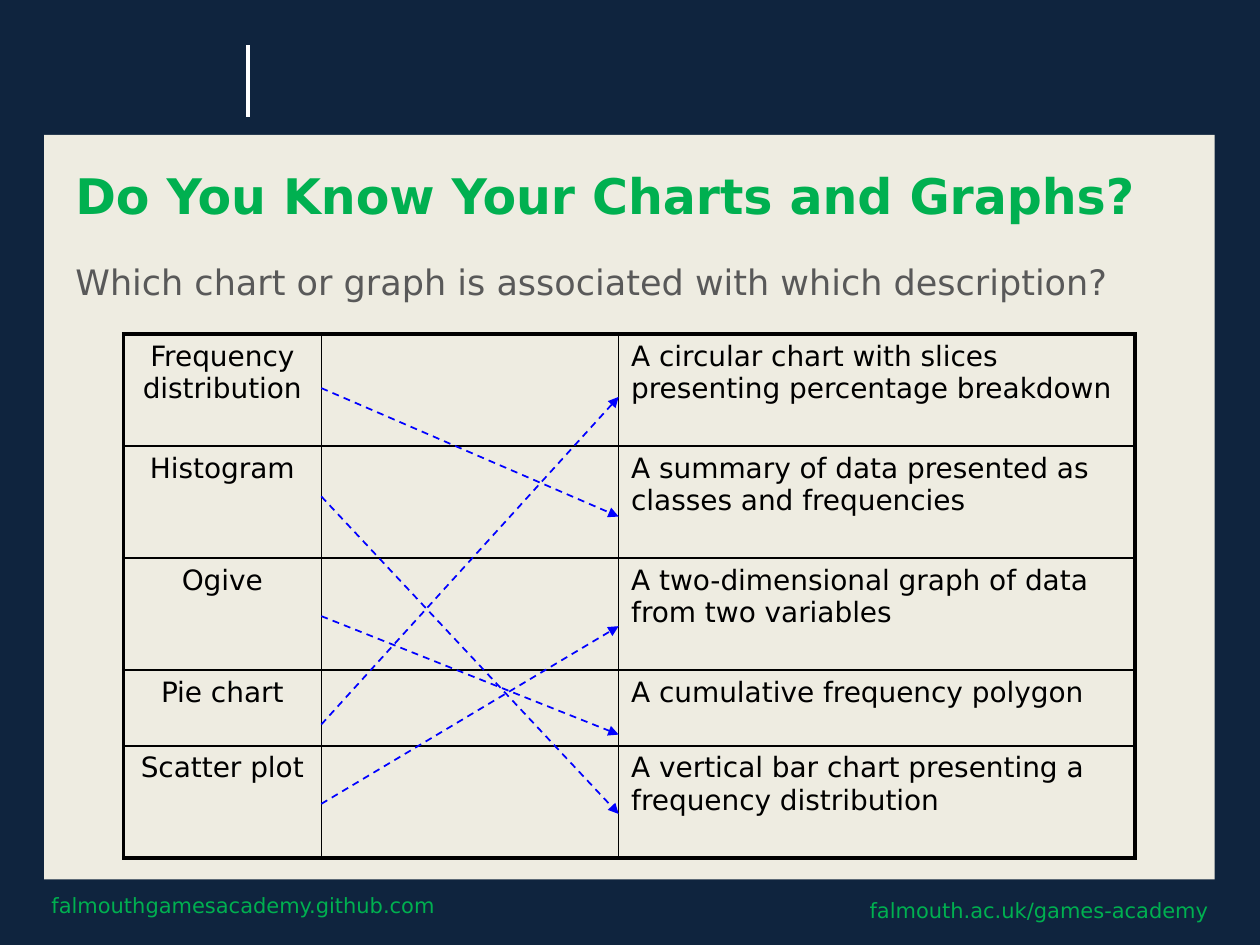
from lxml import etree
from pptx import Presentation
from pptx.dml.color import RGBColor
from pptx.enum.dml import MSO_LINE
from pptx.enum.shapes import MSO_CONNECTOR, MSO_SHAPE
from pptx.enum.text import MSO_ANCHOR, PP_ALIGN
from pptx.oxml.ns import qn
from pptx.util import Inches, Pt

NAVY = RGBColor(0x0F, 0x24, 0x3E)
CREAM = RGBColor(0xEE, 0xEC, 0xE1)
GREEN = RGBColor(0x00, 0xB0, 0x50)
GRAY = RGBColor(0x59, 0x59, 0x59)
BLACK = RGBColor(0, 0, 0)
BLUE = RGBColor(0, 0, 0xFF)
WHITE = RGBColor(0xFF, 0xFF, 0xFF)
FONT = "DejaVu Sans"

COLS = [1.57, 2.36, 4.1]
ROWS = [0.89, 0.89, 0.89, 0.6, 0.89]
PAIRS = [
    ("Frequency distribution",
     "A circular chart with slices presenting percentage breakdown"),
    ("Histogram", "A summary of data presented as classes and frequencies"),
    ("Ogive", "A two-dimensional graph of data from two variables"),
    ("Pie chart", "A cumulative frequency polygon"),
    ("Scatter plot", "A vertical bar chart presenting a frequency distribution"),
]
# Start and end of each arrow, in inches below the table top
LINKS = [(3.73, 2.32), (1.29, 3.81), (2.24, 3.18), (3.1, 0.5), (0.43, 1.45)]


def style(para, size, color, align=PP_ALIGN.LEFT, bold=False):
    para.alignment = align
    font = para.font
    font.name, font.size, font.bold = FONT, Pt(size), bold
    font.color.rgb = color


def add_text(slide, box, text, size, color, anchor=MSO_ANCHOR.MIDDLE, **look):
    frame = slide.shapes.add_textbox(*map(Inches, box)).text_frame
    frame.word_wrap = True
    frame.vertical_anchor = anchor
    frame.text = text
    style(frame.paragraphs[0], size, color, **look)


def add_line(slide, start, end, color, width):
    line = slide.shapes.add_connector(
        MSO_CONNECTOR.STRAIGHT, *map(Inches, (*start, *end)))
    line.line.color.rgb = color
    line.line.width = Pt(width)
    etree.SubElement(line._element.spPr, qn("a:effectLst"))
    return line


def set_edge(cell, side, width):
    edge = etree.SubElement(cell._tc.get_or_add_tcPr(), qn("a:ln" + side),
                            w=str(Pt(width)))
    fill = etree.SubElement(edge, qn("a:solidFill"))
    etree.SubElement(fill, qn("a:srgbClr"), val=str(BLACK))


def add_frame(slide, width, height):
    # Cream panel, header rule and footer links
    slide.background.fill.solid()
    slide.background.fill.fore_color.rgb = NAVY
    add_text(slide, (6.57, 7.02, 3.12, 0.4), "falmouth.ac.uk/games-academy",
             12, GREEN, align=PP_ALIGN.RIGHT)
    add_text(slide, (0.31, 6.98, 3.83, 0.4), "falmouthgamesacademy.github.com",
             12, GREEN)
    add_line(slide, (1.97, 0.36), (1.97, 0.93), WHITE, 2.5)
    panel = slide.shapes.add_shape(
        MSO_SHAPE.RECTANGLE, *map(Inches, (0.35, 1.07, width - 0.71, height - 1.59)))
    panel.shadow.inherit = False
    panel.fill.solid()
    panel.fill.fore_color.rgb = CREAM
    panel.line.fill.background()


def add_grid(slide, left, top):
    # Charts on the left, descriptions on the right
    size = map(Inches, (left, top, sum(COLS), sum(ROWS)))
    table = slide.shapes.add_table(len(ROWS), len(COLS), *size).table
    table.first_row = table.horz_banding = False
    for col, width in zip(table.columns, COLS):
        col.width = Inches(width)
    for r, (height, (name, note)) in enumerate(zip(ROWS, PAIRS)):
        table.rows[r].height = Inches(height)
        for c, text in enumerate((name, "", note)):
            cell = table.cell(r, c)
            outer = {"L": c == 0, "R": c == len(COLS) - 1,
                     "T": r == 0, "B": r == len(ROWS) - 1}
            for side, thick in outer.items():
                set_edge(cell, side, 2.25 if thick else 1)
            cell.fill.background()
            cell.text = text
            style(cell.text_frame.paragraphs[0], 16, BLACK,
                  PP_ALIGN.LEFT if c else PP_ALIGN.CENTER)


def add_links(slide, left, top):
    # Dashed arrows across the middle column
    for start, end in LINKS:
        link = add_line(slide, (left, top + start),
                        (left + COLS[1], top + end), BLUE, 1)
        link.line.dash_style = MSO_LINE.DASH
        etree.SubElement(link.line._get_or_add_ln(), qn("a:tailEnd"),
                         type="triangle")


def main():
    deck = Presentation()
    width, height = 10, 7.5
    deck.slide_width, deck.slide_height = Inches(width), Inches(height)
    slide = deck.slides.add_slide(deck.slide_layouts[6])
    add_frame(slide, width, height)
    add_text(slide, (0.5, 1.23, 9, 0.63), "Do You Know Your Charts and Graphs?",
             28, GREEN, bold=True)
    add_text(slide, (0.5, 2.02, 9, 4.8),
             "Which chart or graph is associated with which description?",
             20, GRAY, anchor=MSO_ANCHOR.TOP)
    left, top = 0.98, 2.65
    add_grid(slide, left, top)
    add_links(slide, left + COLS[0], top)
    deck.save("out.pptx")


if __name__ == "__main__":
    main()
